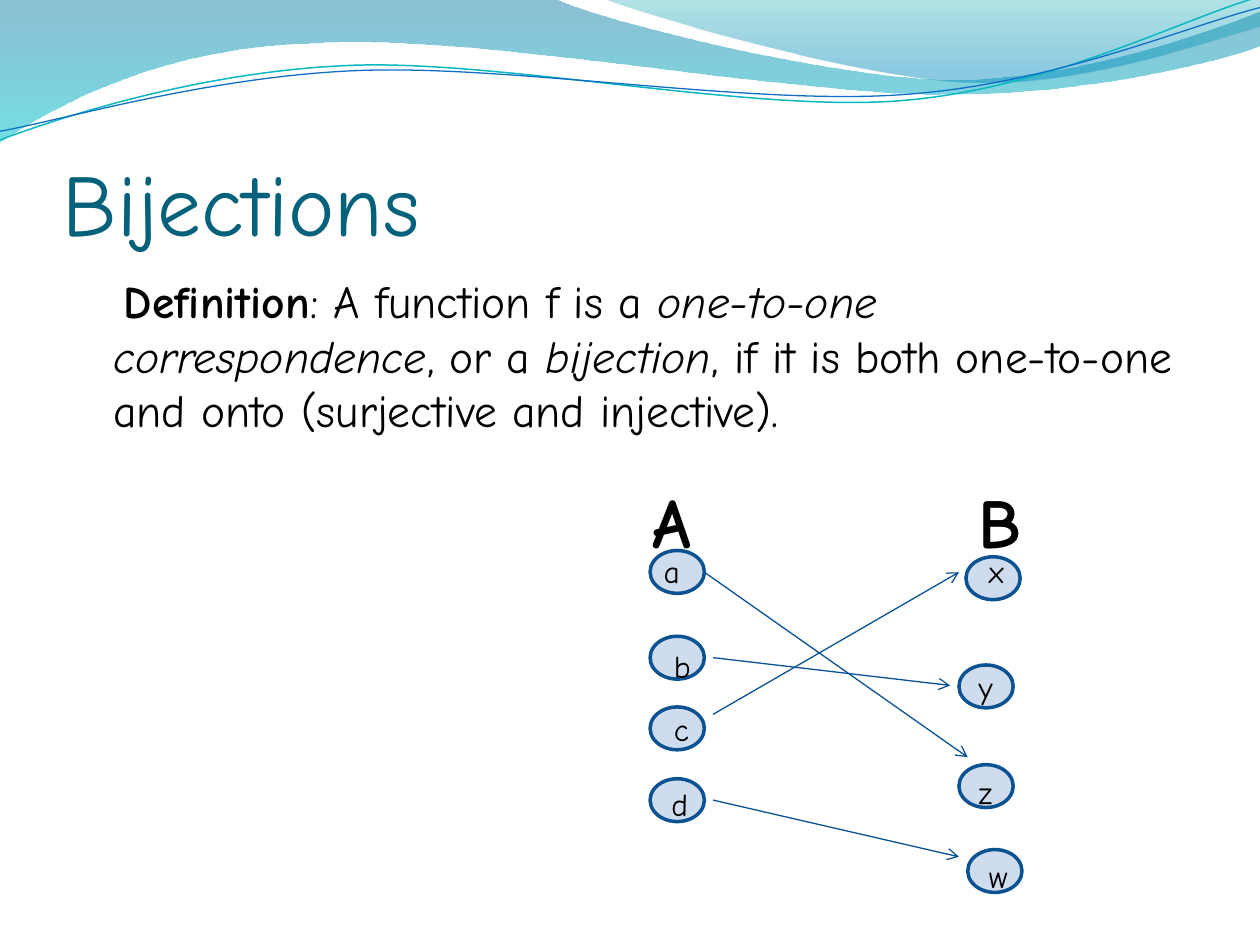
from lxml import etree
from pptx import Presentation
from pptx.dml.color import RGBColor
from pptx.enum.shapes import MSO_CONNECTOR, MSO_SHAPE
from pptx.enum.text import MSO_ANCHOR
from pptx.oxml.ns import qn
from pptx.util import Pt

STRAIGHT = MSO_CONNECTOR.STRAIGHT
NODE = MSO_SHAPE.FLOWCHART_CONNECTOR
BOTTOM = MSO_ANCHOR.BOTTOM
FONT = "Comic Neue"
CURVE_TILT = 357.3
COLOURS = {
    "title": "04617B", "text": "000000",
    "node": "4F81BD", "node_line": "0B5292", "arrow": "095295",
    "wave_top": "0074A1", "wave_bottom": "00C6CF",
    "crest_top": "00A1A9", "crest_bottom": "008BBF",
    "teal_line": "0AB8BF", "blue_line": "0F6FC6",
}

# A path is a start point, then line ends (x, y) and Bezier triples of points.
WAVE = [(0, 0), (317, -0.7), ((343, 12), (478, 45.4), (546, 45.4)),
        ((614, 45.4), (690, 18.7), (720, 6.5)), (720.7, 26),
        ((708, 31.7), (626, 54.7), (537, 54)), ((448, 54), (275, 20.2), (185, 24.5)),
        ((93, 26), (33, 59.8), (-0.7, 81.4))]
CREST = [(345, -0.7), ((366, 8), (491, 44.6), (554, 46.8)),
         ((616, 49.7), (692, 23), (720, 15)), (720, 0)]
TEAL_CURVE = [(-1.4, 63), ((33.8, 51.7), (114.1, 29.4), (199.8, 29.9)),
              ((284.8, 30.3), (425.9, 67.3), (512.5, 64.9)),
              ((599.1, 62.4), (676.5, 25.7), (720.2, 15.5))]
BLUE_CURVE = [(-1.1, 58), ((32.9, 53.8), (118.3, 32.5), (204.1, 33)),
              ((290.6, 33.4), (428.9, 63.8), (515.5, 61.4)),
              ((601.4, 59.6), (678.4, 30.1), (721.4, 21.3))]

# Oval left and top, then label left and top, relative to the diagram.
NODES = {
    "a": (5.5, 44.6, 6.2, 41.8), "b": (5.5, 93.6, 12, 96),
    "c": (5.5, 134, 12, 132), "d": (5.5, 175, 10.5, 175),
    "x": (186, 48.2, 192, 41.8), "y": (182, 110, 186.2, 108),
    "z": (182, 167, 186.2, 168), "w": (187, 215.5, 192, 216),
}
ARROWS = [(36.5, 57, 187, 162.7), (41.5, 105.8, 177, 121.7),
          (41.5, 138.2, 182, 57), (41.5, 187.2, 182, 219.6)]


def colour(name):
    return RGBColor.from_string(COLOURS[name])


def set_alpha(element, percent):
    etree.SubElement(element, qn("a:alpha"), val=str(percent * 1000))


def add_outline(page, box, path, close):
    """Build the path's points as a freeform, then join each triple into a curve."""
    left, top = box[:2]
    points = []
    for part in path:
        points.extend([part] if len(part) == 2 else part)
    places = [(Pt(left + x), Pt(top + y)) for x, y in points]
    builder = page.shapes.build_freeform(*places[0])
    builder.add_line_segments(places[1:], close=close)
    shape = builder.convert_to_shape()
    shape.shadow.inherit = False
    segments = iter(list(shape._element.spPr.iter(qn("a:lnTo"))))
    for part in path[1:]:
        first = next(segments)
        if len(part) == 3:
            first.tag = qn("a:cubicBezTo")
            for segment in (next(segments), next(segments)):
                first.append(segment[0])
                segment.getparent().remove(segment)
    return shape


def add_header(page, box):
    bands = [(WAVE, ("wave_top", 0, 45), ("wave_bottom", 1, 55)),
             (CREST, ("crest_top", 0, 30), ("crest_bottom", 0.8, 45))]
    for path, *stops in bands:
        band = add_outline(page, box, path, True)
        band.line.fill.background()
        band.fill.gradient()
        band.fill.gradient_angle = 270
        for stop, (name, position, _) in zip(band.fill.gradient_stops, stops):
            stop.color.rgb = colour(name)
            stop.position = position
        for element, (_, _, alpha) in zip(band._element.spPr.iter(qn("a:srgbClr")), stops):
            set_alpha(element, alpha)
    for path, name, width in [(TEAL_CURVE, "teal_line", 0.85), (BLUE_CURVE, "blue_line", 0.75)]:
        curve = add_outline(page, box, path, False)
        curve.rotation = CURVE_TILT
        curve.fill.background()
        curve.line.color.rgb = colour(name)
        curve.line.width = Pt(width)


def add_text(page, box, text, size, name="text", bold=None):
    frame = page.shapes.add_textbox(*map(Pt, box)).text_frame
    frame.word_wrap = True
    para = frame.paragraphs[0]
    para.text = text
    para.font.name = FONT
    para.font.size = Pt(size)
    para.font.bold = bold
    para.font.color.rgb = colour(name)
    return frame


def add_title(page, box):
    frame = add_text(page, box, "Bijections", 50, "title")
    frame.vertical_anchor = BOTTOM
    frame.margin_left = frame.margin_right = frame.margin_bottom = 0


def add_definition(page, box):
    para = add_text(page, box, "", 26).paragraphs[0]
    para.space_before = Pt(5)
    properties = para._p.get_or_add_pPr()
    properties.set("marL", str(Pt(21.6)))
    properties.set("indent", str(Pt(6)))
    for text, bold, italic in [
        ("Definition", True, False),
        (": A function f is a ", False, False),
        ("one-to-one correspondence", False, True),
        (", or a ", False, False),
        ("bijection", False, True),
        (", if it is both one-to-one and onto (surjective and injective).", False, False),
    ]:
        span = para.add_run()
        span.text = text
        span.font.bold = bold
        span.font.italic = italic


def add_node(page, left, top):
    node = page.shapes.add_shape(NODE, Pt(left), Pt(top), Pt(31), Pt(24.5))
    node.shadow.inherit = False
    node.fill.solid()
    node.fill.fore_color.rgb = colour("node")
    set_alpha(next(node._element.spPr.iter(qn("a:srgbClr"))), 27)
    node.line.color.rgb = colour("node_line")
    node.line.width = Pt(2)


def add_arrow(page, *ends):
    arrow = page.shapes.add_connector(STRAIGHT, *map(Pt, ends))
    arrow.line.color.rgb = colour("arrow")
    arrow.line.width = Pt(0.75)
    etree.SubElement(arrow.line._get_or_add_ln(), qn("a:tailEnd"), type="arrow")
    etree.SubElement(arrow._element.spPr, qn("a:effectLst"))


def add_mapping(page, box):
    """Draw sets A and B with the arrows between their members."""
    left, top = box[:2]
    for text, x in [("A", 0), ("B", 186)]:
        add_text(page, (left + x, top, 47, 55.5), text, 40, bold=True)
    for text, (x, y, label_x, label_y) in NODES.items():
        add_node(page, left + x, top + y)
        add_text(page, (left + label_x, top + label_y, 21, 29), text, 18)
    for x1, y1, x2, y2 in ARROWS:
        add_arrow(page, left + x1, top + y1, left + x2, top + y2)


def main():
    deck = Presentation()
    deck.slide_width, deck.slide_height = Pt(720), Pt(540)
    page = deck.slides.add_slide(deck.slide_layouts[6])
    add_header(page, (0, 0, 720, 81))
    add_title(page, (36, 55, 648, 90))
    add_definition(page, (36, 152.5, 648, 345.5))
    add_mapping(page, (366, 270, 233, 245))
    deck.save("out.pptx")


if __name__ == "__main__":
    main()
